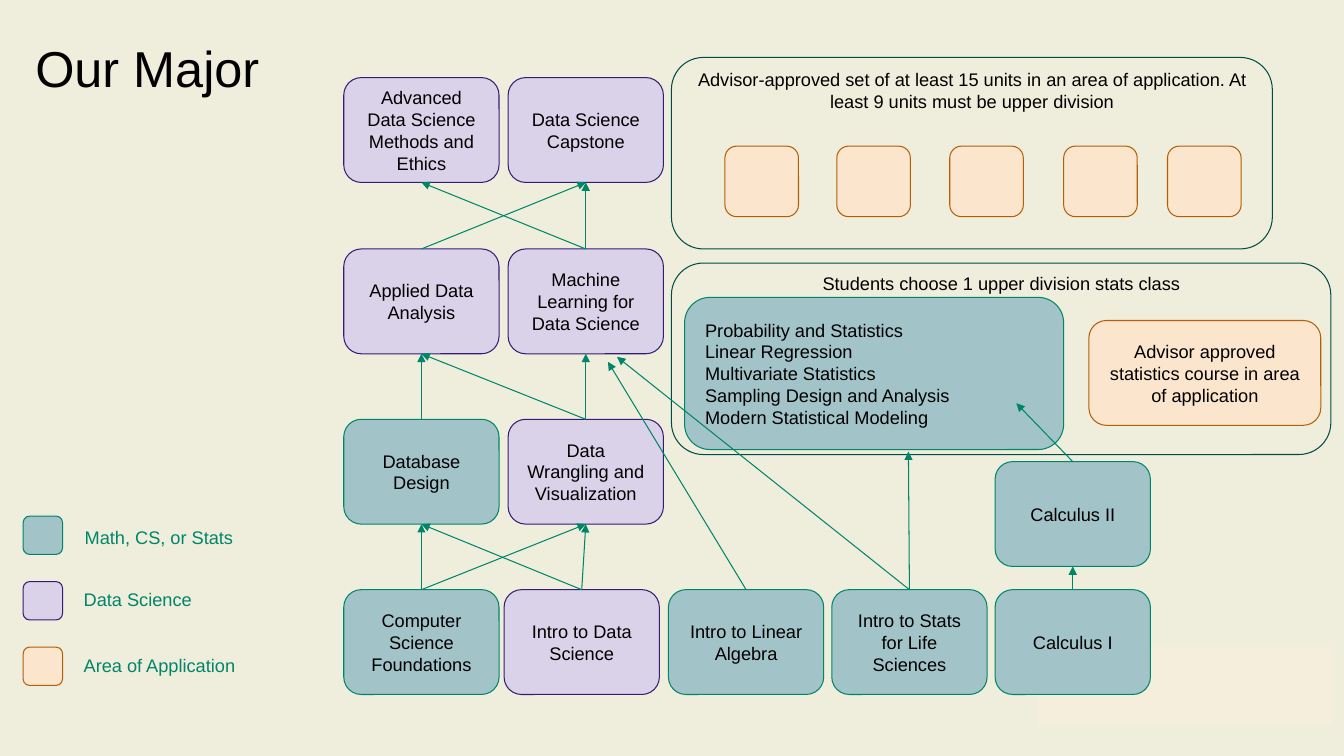
import lxml.etree
import pptx
import pptx.dml.color
import pptx.enum.shapes
import pptx.enum.text
import pptx.oxml.ns
import pptx.util

Inches = pptx.util.Inches
Pt = pptx.util.Pt
SHAPE = pptx.enum.shapes.MSO_SHAPE
ALIGN = pptx.enum.text.PP_ALIGN
ANCHOR = pptx.enum.text.MSO_ANCHOR
qn = pptx.oxml.ns.qn

GREEN = "008569"
MATH = ("A2C4C9", GREEN)
DATA = ("D9D2E9", "351C75")
AREA = ("FCE5CD", "B45F06")
PANEL = (None, "004C46")


def color(code):
    return pptx.dml.color.RGBColor.from_string(code)


class Chart:
    font = "Arial"
    size = 13
    inset = 0.13

    def __init__(self, slide):
        self.slide = slide
        self.shapes = slide.shapes

    def letter(self, shape, text, size=None, ink="000000", align=ALIGN.LEFT,
               anchor=ANCHOR.MIDDLE, top=None):
        frame = shape.text_frame
        frame.text = text
        frame.word_wrap = True
        frame.vertical_anchor = anchor
        frame.margin_left = frame.margin_right = frame.margin_bottom = Inches(self.inset)
        frame.margin_top = Inches(self.inset if top is None else top)
        for line in frame.paragraphs:
            line.alignment = align
            for run in line.runs:
                run.font.name = self.font
                run.font.size = Pt(size or self.size)
                run.font.color.rgb = color(ink)

    def title(self, text, box):
        shape = self.shapes.title
        shape.left, shape.top, shape.width, shape.height = map(Inches, box)
        self.letter(shape, text, size=36)

    def box(self, area, style, text="", kind=SHAPE.ROUNDED_RECTANGLE,
            align=ALIGN.CENTER, **rest):
        shape = self.shapes.add_shape(kind, *map(Inches, area))
        shape.shadow.inherit = False
        fill, line = style
        if fill:
            shape.fill.solid()
            shape.fill.fore_color.rgb = color(fill)
        else:
            shape.fill.background()
        shape.line.color.rgb = color(line)
        shape.line.width = Pt(0.75)
        if text:
            self.letter(shape, text, align=align, **rest)
        return shape

    def label(self, area, text):
        shape = self.shapes.add_textbox(*map(Inches, area))
        self.letter(shape, text, ink=GREEN, anchor=ANCHOR.TOP)

    def arrow(self, start, end):
        free = end if isinstance(end, tuple) else (0, 0)
        link = self.shapes.add_connector(
            pptx.enum.shapes.MSO_CONNECTOR.STRAIGHT, 0, 0, *map(Inches, free))
        link.begin_connect(start, 0)
        if not isinstance(end, tuple):
            link.end_connect(end, 2)
        link.line.color.rgb = color(GREEN)
        link.line.width = Pt(0.75)
        props = link.element.spPr
        lxml.etree.SubElement(props.find(qn("a:ln")), qn("a:tailEnd"), type="triangle")
        lxml.etree.SubElement(props, qn("a:effectLst"))


def main():
    deck = pptx.Presentation()
    deck.slide_width, deck.slide_height = Inches(13.33), Inches(7.5)
    slide = deck.slides.add_slide(deck.slide_layouts[5])
    slide.background.fill.solid()
    slide.background.fill.fore_color.rgb = color("EFEEDC")
    chart = Chart(slide)

    chart.title("Our Major", (0.22, 0.25, 12.42, 0.83))
    chart.box((10.3, 6.42, 2.91, 0.77), ("F5EEDD", "F5EEDD"), kind=SHAPE.RECTANGLE)
    chart.box((6.66, 0.57, 5.96, 1.9), PANEL,
              "Advisor-approved set of at least 15 units in an area of application. "
              "At least 9 units must be upper division", anchor=ANCHOR.TOP, top=0.02)
    chart.box((6.66, 2.61, 6.54, 1.9), PANEL,
              "Students choose 1 upper division stats class", anchor=ANCHOR.TOP, top=0)

    courses = [
        ("cs", 3.41, 5.85, MATH, "Computer Science Foundations"),
        ("intro", 5, 5.85, DATA, "Intro to Data Science"),
        ("linear", 6.63, 5.85, MATH, "Intro to Linear Algebra"),
        ("stats", 8.25, 5.85, MATH, "Intro to Stats for Life Sciences"),
        ("calc1", 9.87, 5.85, MATH, "Calculus I"),
        ("calc2", 9.87, 4.58, MATH, "Calculus II"),
        ("base", 3.41, 4.16, MATH, "Database Design"),
        ("wrangle", 5.04, 4.16, DATA, "Data Wrangling and Visualization"),
        ("applied", 3.41, 2.47, DATA, "Applied Data Analysis"),
        ("machine", 5.04, 2.47, DATA, "Machine Learning for Data Science"),
        ("ethics", 3.41, 0.77, DATA, "Advanced Data Science Methods and Ethics"),
        ("capstone", 5.04, 0.77, DATA, "Data Science Capstone"),
    ]
    cards = {key: chart.box((x, y, 1.54, 1.04), style, text)
             for key, x, y, style, text in courses}

    chart.box((6.79, 2.95, 3.76, 1.51), MATH,
              "Probability and Statistics\nLinear Regression\nMultivariate Statistics\n"
              "Sampling Design and Analysis\nModern Statistical Modeling", align=ALIGN.LEFT)
    chart.box((10.8, 3.18, 2.3, 1.04), AREA,
              "Advisor approved statistics course in area of application")
    for x in (7.19, 8.3, 9.42, 10.55, 11.58):
        chart.box((x, 1.45, 0.73, 0.7), AREA)

    links = [
        ("cs", "base"), ("cs", "wrangle"), ("intro", "base"), ("intro", "wrangle"),
        ("base", "applied"), ("wrangle", "applied"), ("wrangle", "machine"),
        ("applied", "capstone"), ("machine", "ethics"), ("machine", "capstone"),
        ("calc1", "calc2"), ("linear", (6.03, 3.59)), ("stats", (6.12, 3.54)),
        ("stats", (9.01, 4.48)), ("calc2", (10.08, 4)),
    ]
    for start, end in links:
        chart.arrow(cards[start], end if isinstance(end, tuple) else cards[end])

    legend = [
        (MATH, 0.71, 5.11, "Math, CS, or Stats"),
        (DATA, 0.7, 5.73, "Data Science"),
        (AREA, 0.7, 6.38, "Area of Application"),
    ]
    for row, (style, x, y, text) in enumerate(legend):
        chart.box((0.23, 5.12 + 0.65 * row, 0.39, 0.38), style)
        chart.label((x, y, 2.21, 0.46), text)

    deck.save("out.pptx")


if __name__ == "__main__":
    main()
